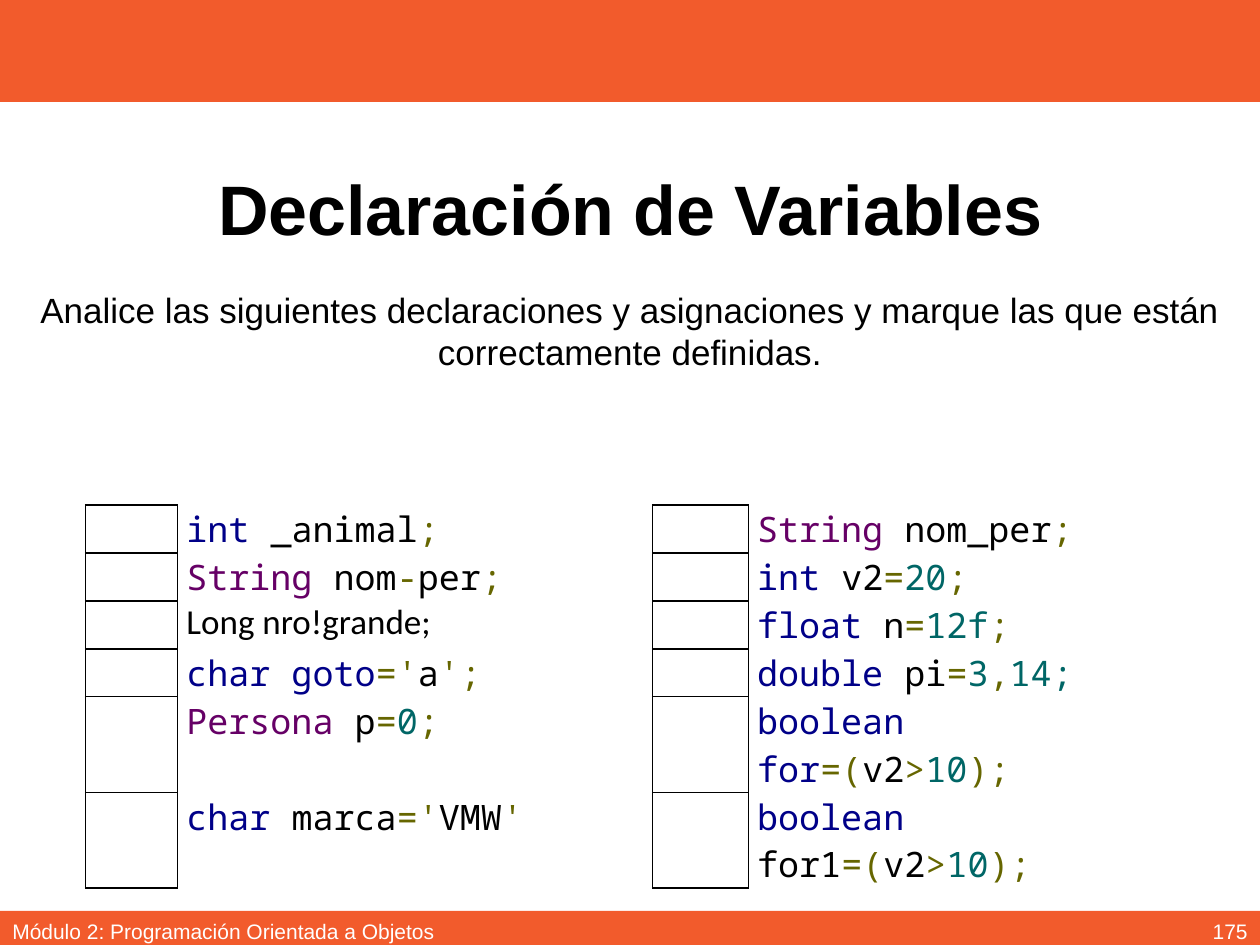
import pptx
import pptx.dml.color
import pptx.enum.shapes
import pptx.enum.text
import pptx.oxml.ns
import pptx.util
from lxml import etree

Inches = pptx.util.Inches
Pt = pptx.util.Pt
ALIGN = pptx.enum.text.PP_ALIGN
ANCHOR = pptx.enum.text.MSO_ANCHOR

KEYWORD, TYPE, PLAIN, SYMBOL, NUMBER = "000088", "660066", "000000", "666600", "006666"

LEFT_CODE = [
    [("int", KEYWORD), (" _animal", PLAIN), (";", SYMBOL)],
    [("String", TYPE), (" nom", PLAIN), ("-", SYMBOL), ("per", PLAIN), (";", SYMBOL)],
    [("Long nro!grande;", PLAIN, "Calibri")],
    [("char goto", KEYWORD), ("='", SYMBOL), ("a", PLAIN), ("';", SYMBOL)],
    [("Persona", TYPE), (" p", PLAIN), ("=", SYMBOL), ("0", NUMBER), (";", SYMBOL)],
    [("char ", KEYWORD), ("marca", PLAIN), ("='", SYMBOL), ("VMW", PLAIN), ("'", SYMBOL)],
]
CONDITION = [("=(", SYMBOL), ("v2", PLAIN), (">", SYMBOL), ("10", NUMBER), (");", SYMBOL)]
RIGHT_CODE = [
    [("String ", TYPE), ("nom_per", PLAIN), (";", SYMBOL)],
    [("int", KEYWORD), (" v2", PLAIN), ("=", SYMBOL), ("20", NUMBER), (";", SYMBOL)],
    [("float", KEYWORD), (" n", PLAIN), ("=", SYMBOL), ("12f", NUMBER), (";", SYMBOL)],
    [("double", KEYWORD), (" pi", PLAIN), ("=", SYMBOL), ("3", NUMBER), (",", SYMBOL),
     ("14;", NUMBER)],
    [("boolean for", KEYWORD)] + CONDITION,
    [("boolean", KEYWORD), (" for1", PLAIN)] + CONDITION,
]


def rgb(value):
    return pptx.dml.color.RGBColor.from_string(value)


class Deck:
    font = "Arial"
    code_font = "Noto Sans Mono"
    code_size = 20
    accent = "F25B2C"
    ink = "000000"
    paper = "FFFFFF"

    def __init__(self, width, height):
        self.prs = pptx.Presentation()
        self.prs.slide_width = Inches(width)
        self.prs.slide_height = Inches(height)
        self.s = self.prs.slides.add_slide(self.prs.slide_layouts[6])

    def style(self, r, size, color, font=None, bold=False):
        r.font.name = font or self.font
        r.font.size = Pt(size)
        r.font.bold = bold
        r.font.color.rgb = rgb(color)

    def band(self, *box):
        sp = self.s.shapes.add_shape(
            pptx.enum.shapes.MSO_SHAPE.RECTANGLE, *map(Inches, box))
        sp.shadow.inherit = False
        sp.fill.solid()
        sp.fill.fore_color.rgb = rgb(self.accent)
        sp.line.fill.background()

    def text(self, box, words, size, color, align, anchor=ANCHOR.MIDDLE, bold=False):
        tf = self.s.shapes.add_textbox(*map(Inches, box)).text_frame
        tf.word_wrap = True
        tf.vertical_anchor = anchor
        tf.text = words
        p = tf.paragraphs[0]
        p.alignment = align
        self.style(p.runs[0], size, color, bold=bold)

    def borders(self, cell, sides):
        tc_pr = cell._tc.get_or_add_tcPr()
        ns = pptx.oxml.ns.qn
        for side in "LRTB":
            ln = etree.SubElement(tc_pr, ns("a:ln" + side), w=str(Pt(1)))
            if side in sides:
                fill = etree.SubElement(ln, ns("a:solidFill"))
                etree.SubElement(fill, ns("a:srgbClr"), val=self.ink)
            else:
                etree.SubElement(ln, ns("a:noFill"))

    def code(self, cell, tokens):
        cell.margin_left = cell.margin_right = Inches(0.07)
        p = cell.text_frame.paragraphs[0]
        p.alignment = ALIGN.JUSTIFY
        for words, color, *font in tokens:
            r = p.add_run()
            r.text = words
            self.style(r, self.code_size, color, font[0] if font else self.code_font)

    def checklist(self, left, top, widths, heights, columns):
        frame = self.s.shapes.add_table(
            len(heights), len(widths), Inches(left), Inches(top),
            Inches(sum(widths)), Inches(sum(heights)))
        table = frame.table
        table.first_row = table.horz_banding = False
        for column, width in zip(table.columns, widths):
            column.width = Inches(width)
        for row, height in zip(table.rows, heights):
            row.height = Inches(height)
        for i in range(len(heights)):
            for j in range(len(widths)):
                cell = table.cell(i, j)
                cell.margin_top = cell.margin_bottom = 0
                is_code = j % 2 == 1
                is_last = j == len(widths) - 1
                self.borders(cell, "LRTB" if not is_code else "L" if is_last else "LR")
                cell.fill.background()
                if is_code:
                    self.code(cell, columns[j // 2][i])


def main():
    deck = Deck(10, 7.5)
    deck.band(0, 0, 10, 0.81)
    deck.band(0, 7.23, 10, 0.27)
    deck.text((0.69, 0.98, 8.62, 1.33), "Declaración de Variables", 40, deck.ink,
              ALIGN.CENTER, bold=True)
    deck.checklist(0.68, 4.01, [0.73, 3.77, 0.76, 3.38], [0.38] * 4 + [0.76] * 2,
                   [LEFT_CODE, RIGHT_CODE])
    deck.text((7.75, 7.19, 2.25, 0.4), "175", 12, deck.paper, ALIGN.RIGHT)
    deck.text((0, 7.19, 3.94, 0.4), "Módulo 2: Programación Orientada a Objetos", 12,
              deck.paper, ALIGN.LEFT)
    deck.text((0, 2.24, 10, 0.77),
              "Analice las siguientes declaraciones y asignaciones y marque las que están "
              "correctamente definidas.", 20, deck.ink, ALIGN.CENTER, ANCHOR.TOP)
    deck.prs.save("out.pptx")


if __name__ == "__main__":
    main()
